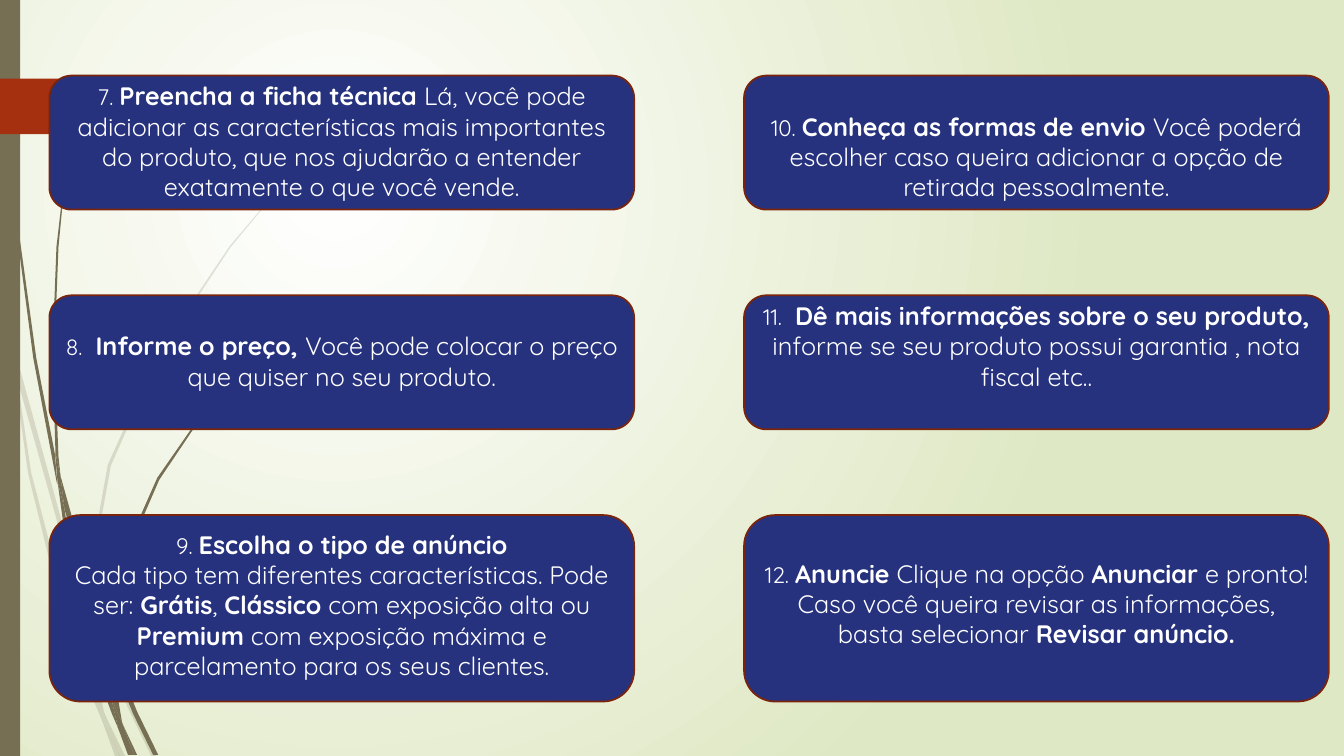
from lxml import etree
from pptx import Presentation
from pptx import util as u
from pptx.dml import color
from pptx.enum import shapes, text
from pptx.oxml import ns

FONT = "Quicksand"
OLIVE, RUST, NAVY, WHITE = "766F54", "A53010", "26327E", "FFFFFF"

PALE_WISPS = [
    "0.11,3.5 0.09,3.22 0,2.82 0,2.99 0.1,3.44",
    "0.58,5.22 0.84,5.99 0.85,5.86 0.62,5.2 0.14,3.45 0.17,3.76",
    "0.92,6.07 0.88,5.96 0.88,6.1 1.23,6.94 1.5,7.5 1.55,7.5 1.27,6.92",
    "1.19,7.5 1.24,7.5 1.05,7.11",
    "0.93,6.83 0.7,6.19 0.31,4.69 0.17,3.76 0.11,3.5 0.28,4.7 0.65,6.21 0.92,6.93 1.01,7.14 0.99,7.07",
    "0.84,5.99 0.87,6.46 0.93,6.83 0.96,6.92 1.05,7.11 1.03,7.06 0.91,6.46 0.88,6.1 0.88,6.08",
    "0.88,5.84 1.1,4.62 1.6,3.49 2.29,2.45 2.68,1.98 2.9,1.75 3.12,1.54 3.12,1.53 2.89,1.75 "
    "2.68,1.97 2.28,2.44 1.58,3.48 1.07,4.61 0.85,5.84 0.85,5.86 0.88,5.96",
    "1.01,7.14 1.14,7.5 1.19,7.5",
    "0.96,6.92 0.93,6.83 0.99,7.07 1.01,7.14 1.19,7.5 1.05,7.11",
]
DARK_WISPS = [
    "0.07,1.1 0.17,2.33 0.33,3.55 0.56,4.77 0.57,4.81 0.55,4.57 0.55,4.53 0.36,3.55 0.19,2.32 "
    "0.08,1.09 0.05,0.48 0.04,0 0.03,0 0.04,0.48",
    "0.88,5.92 1.06,6.45 1.06,6.33 1.06,6.31 0.93,5.9 0.6,4.72 0.64,5.05",
    "1.13,6.49 1.1,6.41 1.11,6.56 1.32,7.08 1.52,7.49 1.57,7.49 1.36,7.06",
    "1.1,6.91 0.98,6.57 0.72,5.56 0.64,5.05 0.57,4.77 0.68,5.57 0.93,6.59 1.11,7.08 1.17,7.22 1.16,7.17",
    "0.6,4.72 0.58,4.53 0.54,3.49 0.58,2.45 0.63,1.93 0.7,1.41 0.62,1.93 0.56,2.45 0.52,3.49 0.55,4.49",
    "1.33,7.49 1.36,7.49 1.22,7.19",
    "0.57,4.77 0.64,5.05 0.6,4.72 0.55,4.49 0.55,4.53",
    "1.11,6.33 1.25,5.52 1.58,4.76 2.05,4.06 2.31,3.74 2.45,3.59 2.61,3.44 2.6,3.44 2.45,3.58 "
    "2.31,3.73 2.04,4.05 1.56,4.74 1.22,5.51 1.06,6.31 1.1,6.41",
    "1.17,7.22 1.27,7.49 1.31,7.49",
    "1.06,6.45 1.1,6.91 1.16,7.06 1.22,7.19 1.21,7.16 1.11,6.56 1.09,6.51",
    "1.16,7.06 1.1,6.91 1.16,7.17 1.17,7.22 1.3,7.49 1.33,7.49 1.22,7.19",
]

COLUMN_LEFTS = [0.49, 7.38]
ROWS = [(0.75, 1.33), (2.93, 1.33), (5.11, 1.85)]
FIRST_STEP = 7
STEPS = [
    (["**Preencha a ficha técnica **Lá, você pode adicionar as características mais importantes "
      "do produto, que nos ajudarão a entender exatamente o que você vende."], 0, 0.03),
    ([" **Informe o preço, **Você pode colocar o preço que quiser no seu produto."], 0, 0.03),
    (["**Escolha o tipo de anúncio**",
      "Cada tipo tem diferentes características. Pode ser: **Grátis**, **Clássico** com exposição "
      "alta ou **Premium** com exposição máxima e parcelamento para os seus clientes."], 0, 0.07),
    (["**Conheça as formas de envio **Você poderá escolher caso queira adicionar a opção de "
      "retirada pessoalmente."], 0.27, 0),
    ([" **Dê mais informações sobre o seu produto, **informe se seu produto possui garantia , "
      "nota fiscal etc.."], 0, 0.33),
    (["**Anuncie **Clique na opção **Anunciar **e pronto! Caso você queira revisar as "
      "informações, basta selecionar **Revisar anúncio.**"], 0, 0.1),
]


def rgb(value):
    """Return the colour for a hex string."""
    return color.RGBColor.from_string(value)


def paint(shape, fill, line=None):
    """Give a shape a solid fill, an optional outline and no shadow."""
    shape.shadow.inherit = False
    shape.fill.solid()
    shape.fill.fore_color.rgb = rgb(fill)
    if line:
        shape.line.color.rgb = rgb(line)
        shape.line.width = u.Pt(1.25)
    else:
        shape.line.fill.background()


def add_block(page, kind, left, top, width, height, fill, line=None):
    """Add a painted preset shape measured in inches."""
    box = page.shapes.add_shape(kind, *map(u.Inches, (left, top, width, height)))
    paint(box, fill, line)
    return box


def add_span(para, words, size=18, bold=False, ink=WHITE):
    """Append a formatted run to a paragraph."""
    span = para.add_run()
    span.text = words
    span.font.name = FONT
    span.font.size = u.Pt(size)
    span.font.bold = bold
    span.font.color.rgb = rgb(ink)


def add_wisps(page, outlines, opacity=100):
    """Draw a group of grass blades from their outlines."""
    group = page.shapes.add_group_shape()
    for outline in outlines:
        points = [tuple(u.Inches(float(n)) for n in pair.split(",")) for pair in outline.split()]
        builder = group.shapes.build_freeform(*points[0])
        builder.add_line_segments(points[1:])
        blade = builder.convert_to_shape()
        paint(blade, OLIVE)
        if opacity < 100:
            tint = blade.fill._xPr.find(".//" + ns.qn("a:srgbClr"))
            etree.SubElement(tint, ns.qn("a:alpha")).set("val", str(opacity * 1000))


def add_step(page, number, paragraphs, left, top, height, inset_top, inset_bottom):
    """Add one numbered card; double asterisks enclose bold words."""
    box = add_block(page, shapes.MSO_SHAPE.ROUNDED_RECTANGLE, left, top, 5.8, height, NAVY, "7A240C")
    frame = box.text_frame
    frame.word_wrap = True
    frame.vertical_anchor = text.MSO_ANCHOR.MIDDLE
    frame.margin_top, frame.margin_bottom = u.Inches(inset_top), u.Inches(inset_bottom)
    for index, words in enumerate(paragraphs):
        para = frame.add_paragraph() if index else frame.paragraphs[0]
        para.alignment = text.PP_ALIGN.CENTER
        if index == 0:
            add_span(para, f"{number}. ", size=16)
        for part, piece in enumerate(words.split("**")):
            if piece:
                add_span(para, piece, bold=part % 2 == 1)


def set_background(page):
    """Fill the page with a round gradient from white to pale green."""
    fill = page.background.fill
    fill.gradient()
    for stop, value in zip(fill.gradient_stops, (WHITE, "DFE8C4")):
        stop.color.rgb = rgb(value)
    direction = page.background._cSld.find(".//" + ns.qn("a:lin"))
    circle = etree.Element(ns.qn("a:path"), {"path": "circle"})
    etree.SubElement(circle, ns.qn("a:fillToRect"), l="50000", t="50000", r="100000", b="100000")
    direction.getparent().replace(direction, circle)


def main():
    """Build the slide and save it."""
    deck = Presentation()
    deck.slide_width, deck.slide_height = u.Inches(13.33), u.Inches(7.5)
    page = deck.slides.add_slide(deck.slide_layouts[6])
    set_background(page)
    add_wisps(page, PALE_WISPS, opacity=20)
    add_wisps(page, DARK_WISPS)
    add_block(page, shapes.MSO_SHAPE.RECTANGLE, 0, 0, 0.2, 7.5, OLIVE)
    add_block(page, shapes.MSO_SHAPE.PENTAGON, 0, 0.78, 1.74, 0.55, RUST)
    for index, (paragraphs, inset_top, inset_bottom) in enumerate(STEPS):
        column, row = divmod(index, len(ROWS))
        top, height = ROWS[row]
        add_step(page, FIRST_STEP + index, paragraphs, COLUMN_LEFTS[column], top, height,
                 inset_top, inset_bottom)
    deck.save("out.pptx")


if __name__ == "__main__":
    main()
